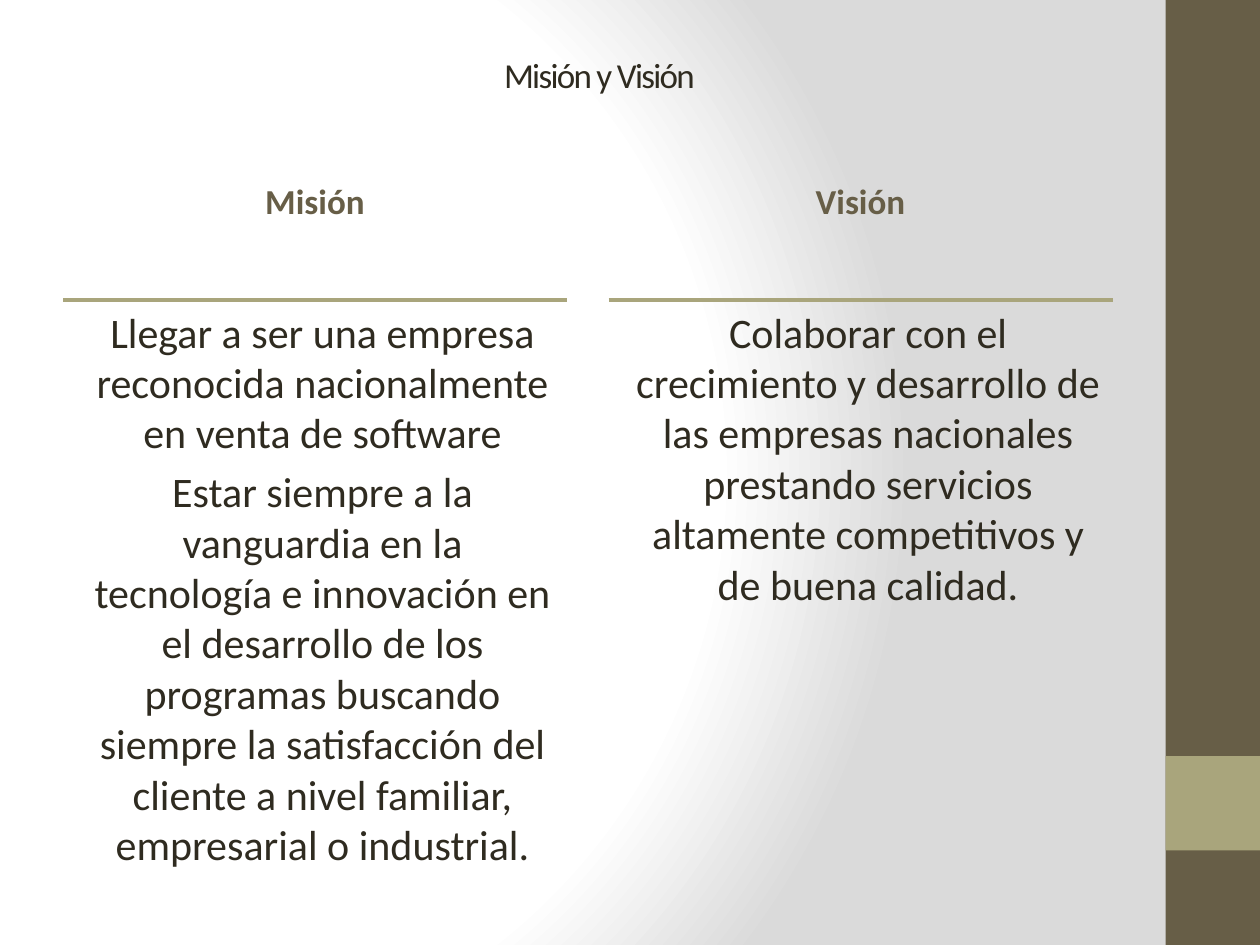
from dataclasses import dataclass
from pptx import Presentation
from pptx.dml.color import RGBColor
from pptx.enum.shapes import MSO_CONNECTOR, MSO_SHAPE
from pptx.enum.text import MSO_ANCHOR, MSO_AUTO_SIZE, PP_ALIGN
from pptx.oxml import parse_xml
from pptx.oxml.ns import nsdecls
from pptx.util import Inches, Pt

TITLE = "Misión y Visión"
COLUMNS = [
    ("Misión", [
        "Llegar a ser una empresa reconocida nacionalmente en venta de software",
        "Estar siempre a la vanguardia en la tecnología e innovación en el desarrollo "
        "de los programas buscando siempre la satisfacción del cliente a nivel "
        "familiar, empresarial o industrial.",
    ]),
    ("Visión", [
        "Colaborar con el crecimiento y desarrollo de las empresas nacionales "
        "prestando servicios altamente competitivos y de buena calidad.",
    ]),
]


@dataclass(frozen=True)
class Theme:
    font: str = "Calibri"
    text: str = "2F2B20"
    dark: str = "675E47"
    accent: str = "A9A57C"
    light: str = "FFFFFF"
    shade: str = "DADADA"
    heading_size: int = 20
    body_size: int = 24
    space_share: float = 0.2
    rule_width: int = 2


THEME = Theme()
WIDTH, HEIGHT = 10, 7.5
BAR = 0.75
MARGIN, COLUMN_WIDTH, GUTTER = 0.5, 4, 0.33
HEADING_TOP, HEADING_HEIGHT = 1.11, 0.7
BODY_TOP, BODY_HEIGHT = 2.38, 4.32
BODY_INDENT = Inches(0.12)


def add_run(paragraph, text, size, color, bold=False):
    run = paragraph.add_run()
    run.text = text
    run.font.name = THEME.font
    run.font.size = Pt(size)
    run.font.bold = bold
    run.font.color.rgb = RGBColor.from_string(color)
    return run


def set_background(slide):
    stops = "".join(
        f'<a:gs pos="{share * 1000}"><a:srgbClr val="{color}"/></a:gs>'
        for share, color in [(0, THEME.light), (75, THEME.light), (100, THEME.shade)]
    )
    background = parse_xml(
        f'<p:bg {nsdecls("p", "a")}><p:bgPr><a:gradFill rotWithShape="1">'
        f'<a:gsLst>{stops}</a:gsLst><a:path path="circle">'
        '<a:fillToRect l="20000" t="50000" r="100000" b="50000"/></a:path>'
        '</a:gradFill><a:effectLst/></p:bgPr></p:bg>'
    )
    slide.element.cSld.insert(0, background)


def add_block(slide, top, height, color):
    shape = slide.shapes.add_shape(
        MSO_SHAPE.RECTANGLE, Inches(WIDTH - BAR), Inches(top), Inches(BAR), Inches(height)
    )
    shape.shadow.inherit = False
    shape.fill.solid()
    shape.fill.fore_color.rgb = RGBColor.from_string(color)
    shape.line.fill.background()


def format_title(slide):
    title = slide.shapes.title
    title.left, title.top = Inches(3.9), Inches(0.37)
    title.width, title.height = Inches(1.87), Inches(0.44)
    frame = title.text_frame
    frame.word_wrap = True
    frame.auto_size = MSO_AUTO_SIZE.SHAPE_TO_FIT_TEXT
    frame.vertical_anchor = MSO_ANCHOR.MIDDLE
    paragraph = frame.paragraphs[0]
    paragraph.alignment = PP_ALIGN.LEFT
    run = add_run(paragraph, TITLE, THEME.heading_size, THEME.text)
    run.font._element.set("spc", "-100")


def add_text(slide, left, top, height, texts, size, color, bold=False,
             anchor=MSO_ANCHOR.TOP, indent=0):
    box = slide.shapes.add_textbox(
        Inches(left), Inches(top), Inches(COLUMN_WIDTH), Inches(height)
    )
    frame = box.text_frame
    frame.word_wrap = True
    frame.vertical_anchor = anchor
    for index, text in enumerate(texts):
        paragraph = frame.add_paragraph() if index else frame.paragraphs[0]
        paragraph.alignment = PP_ALIGN.CENTER
        paragraph.space_before = Pt(size * THEME.space_share if index else 0)
        properties = paragraph._p.get_or_add_pPr()
        properties.set("marL", str(indent))
        properties.set("indent", "0")
        add_run(paragraph, text, size, color, bold)


def add_rule(slide, left):
    rule = slide.shapes.add_connector(
        MSO_CONNECTOR.STRAIGHT, Inches(left), Inches(BODY_TOP),
        Inches(left + COLUMN_WIDTH), Inches(BODY_TOP)
    )
    rule.line.color.rgb = RGBColor.from_string(THEME.accent)
    rule.line.width = Pt(THEME.rule_width)
    rule._element.spPr.append(parse_xml(f'<a:effectLst {nsdecls("a")}/>'))


def main():
    presentation = Presentation()
    presentation.slide_width, presentation.slide_height = Inches(WIDTH), Inches(HEIGHT)
    slide = presentation.slides.add_slide(presentation.slide_layouts.get_by_name("Title Only"))
    set_background(slide)
    add_block(slide, 0, HEIGHT, THEME.dark)
    add_block(slide, HEIGHT - 2 * BAR, BAR, THEME.accent)
    format_title(slide)
    for index, (heading, texts) in enumerate(COLUMNS):
        left = MARGIN + index * (COLUMN_WIDTH + GUTTER)
        add_text(slide, left, HEADING_TOP, HEADING_HEIGHT, [heading],
                 THEME.heading_size, THEME.dark, bold=True, anchor=MSO_ANCHOR.BOTTOM)
        add_text(slide, left, BODY_TOP, BODY_HEIGHT, texts,
                 THEME.body_size, THEME.text, indent=BODY_INDENT)
        add_rule(slide, left)
    presentation.save("out.pptx")


if __name__ == "__main__":
    main()
